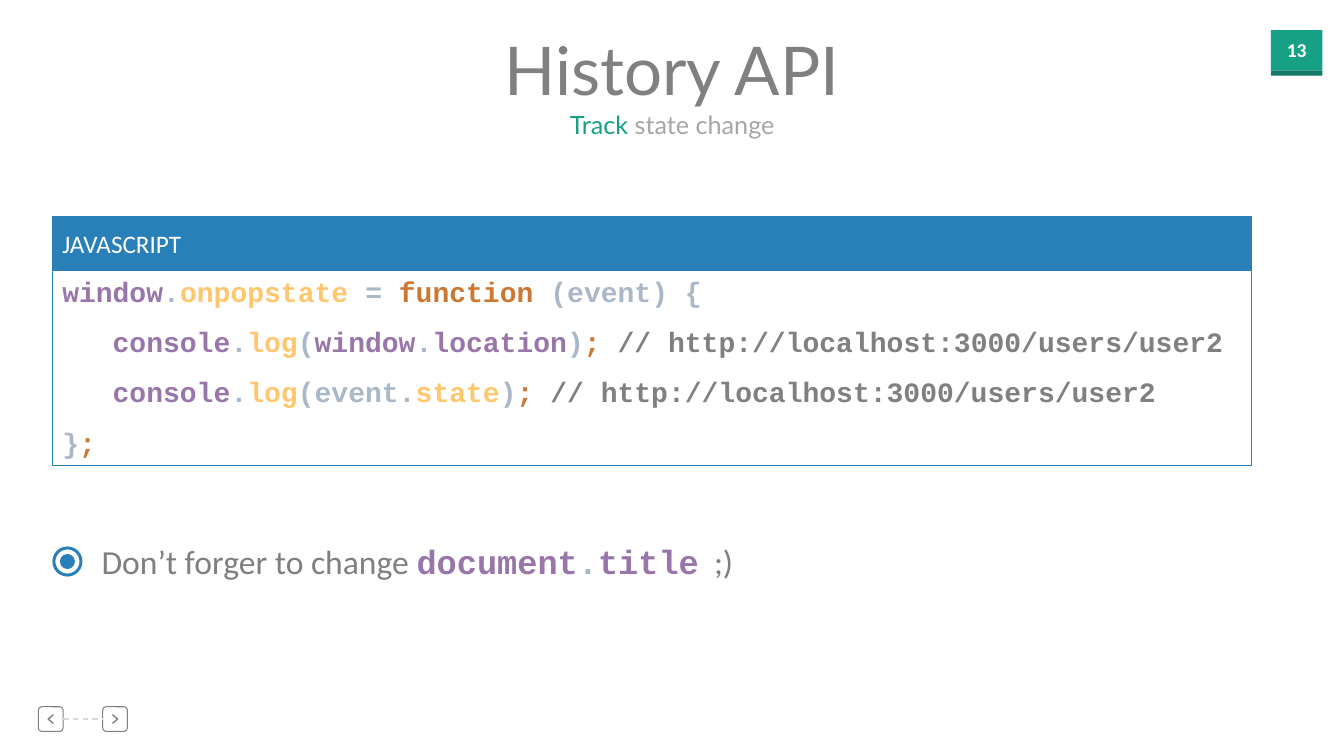
from lxml import etree
from pptx import Presentation
from pptx.dml.color import RGBColor
from pptx.enum.dml import MSO_LINE
from pptx.enum.shapes import MSO_CONNECTOR, MSO_SHAPE
from pptx.enum.text import MSO_ANCHOR, PP_ALIGN
from pptx.oxml.ns import qn
from pptx.util import Cm, Pt

RECT, ROUND = MSO_SHAPE.RECTANGLE, MSO_SHAPE.ROUNDED_RECTANGLE
OVAL, DONUT = MSO_SHAPE.OVAL, MSO_SHAPE.DONUT
LEFT, CENTER = PP_ALIGN.LEFT, PP_ALIGN.CENTER
TOP, MIDDLE = MSO_ANCHOR.TOP, MSO_ANCHOR.MIDDLE

COLORS = {
    "green": "16A085", "dark_green": "107864", "blue": "2980B9",
    "white": "FFFFFF", "gray": "808080", "silver": "A6A6A6",
    "dash": "D9D9D9", "body": "7F7F7F", "object": "9876AA",
    "plain": "A9B7C6", "member": "FFC66D", "keyword": "CC7832",
}

TITLE = [[("History API", "gray")]]
SUBTITLE = [[("Track ", "green"), ("state change", "silver")]]
NUMBER = [[("13", "white")]]
LANGUAGE = [[("JAVASCRIPT", "white")]]
URL_COMMENT = ("// http://localhost:3000/users/user2", "gray")
LOG = [("console", "object"), (".", "plain"), ("log", "member")]
END = [(")", "plain"), ("; ", "keyword"), URL_COMMENT]
CODE = [
    [("window", "object"), (".", "plain"), ("onpopstate ", "member"),
     ("= ", "plain"), ("function ", "keyword"), ("(event) {", "plain")],
    LOG + [("(", "plain"), ("window", "object"), (".", "plain"),
           ("location", "object")] + END,
    LOG + [("(event.", "plain"), ("state", "member")] + END,
    [("}", "plain"), (";", "keyword")],
]
CODE_LEVELS = [0, 1, 1, 0]
MONO = {"name": "Courier New", "bold": True}
NOTE = [[("Don’t forger to change ", "body"), ("document", "object", MONO),
         (".", "plain", MONO), ("title", "object", MONO), ("  ;)", "body")]]

MARGIN, PANEL_W = 1.32, 30.23
BADGE_X, BADGE_W = 32.03, 1.3
NAV_Y, NAV_SIZE = 17.81, 0.62
NAV = [(0.97, -1), (2.59, 1)]
CHEVRON_W, CHEVRON_H = 0.13, 0.22


def rgb(name):
    return RGBColor.from_string(COLORS[name])


def write(sp, paragraphs, font, align=LEFT, anchor=TOP, wrap=False,
          levels=None, para=None):
    tf = sp.text_frame
    tf.word_wrap, tf.vertical_anchor = wrap, anchor
    for i, runs in enumerate(paragraphs):
        p = tf.paragraphs[0] if i == 0 else tf.add_paragraph()
        p.alignment = align
        p.level = levels[i] if levels else 0
        for key, value in (para or {}).items():
            setattr(p, key, value)
        for text, color, *extra in runs:
            r = p.add_run()
            r.text = text
            for key, value in {**font, **(extra[0] if extra else {})}.items():
                setattr(r.font, key, value)
            r.font.color.rgb = rgb(color)


def paint(sp, fill=None, line=None, width=0.75):
    sp.shadow.inherit = False
    if fill:
        sp.fill.solid()
        sp.fill.fore_color.rgb = rgb(fill)
    else:
        sp.fill.background()
    if line:
        sp.line.color.rgb = rgb(line)
        sp.line.width = Pt(width)
    else:
        sp.line.fill.background()
    return sp


def add_shape(kind, box, fill=None, line=None):
    return paint(shapes.add_shape(kind, *map(Cm, box)), fill, line)


def add_text(box, *args, **kwargs):
    write(shapes.add_textbox(*map(Cm, box)), *args, **kwargs)


prs = Presentation()
prs.slide_width, prs.slide_height = Cm(33.87), Cm(19.05)
s = prs.slides.add_slide(prs.slide_layouts[5])
shapes = s.shapes

title = shapes.title
title.left, title.top, title.width, title.height = map(Cm, (12.45, 0.58, 8.97, 2.31))
write(title, TITLE, {"name": "Lato", "size": Pt(48)}, CENTER)
add_text((13.97, 2.62, 5.94, 1.02), SUBTITLE, {"name": "Lato", "size": Pt(18)}, CENTER)

add_shape(RECT, (BADGE_X, 0.76, BADGE_W, 1.02), "green")
add_shape(RECT, (BADGE_X, 1.78, BADGE_W, 0.13), "dark_green")
add_text((BADGE_X, 0.84, BADGE_W, 0.86), NUMBER,
         {"name": "Calibri", "size": Pt(14), "bold": True}, CENTER)

nav_mid = NAV_Y + NAV_SIZE / 2
for x, direction in NAV:
    add_shape(ROUND, (x, NAV_Y, NAV_SIZE, NAV_SIZE), line="gray").adjustments[0] = 0.14
    mid = x + NAV_SIZE / 2
    back, tip = (mid + k * direction * CHEVRON_W / 2 for k in (-1, 1))
    fb = shapes.build_freeform(Cm(back), Cm(nav_mid - CHEVRON_H / 2))
    fb.add_line_segments([(Cm(tip), Cm(nav_mid)),
                          (Cm(back), Cm(nav_mid + CHEVRON_H / 2))], close=False)
    paint(fb.convert_to_shape(), line="gray", width=1)

link = shapes.add_connector(MSO_CONNECTOR.STRAIGHT, Cm(NAV[0][0] + NAV_SIZE),
                            Cm(nav_mid), Cm(NAV[1][0]), Cm(nav_mid))
link.line.color.rgb = rgb("dash")
link.line.width, link.line.dash_style = Pt(1), MSO_LINE.DASH
etree.SubElement(link._element.spPr, qn("a:effectLst"))

code = add_shape(RECT, (MARGIN, 6.78, PANEL_W, 4.95), "white", "blue")
alpha = etree.SubElement(code._element.spPr.find(qn("a:solidFill"))[0], qn("a:alpha"))
alpha.set("val", "90000")
write(code, CODE, {**MONO, "size": Pt(20)}, wrap=True, levels=CODE_LEVELS,
      para={"space_before": Pt(6), "space_after": Pt(6)})
header = add_shape(RECT, (MARGIN, 5.46, PANEL_W, 1.37), "blue", "blue")
write(header, LANGUAGE, {"name": "Calibri", "size": Pt(18)}, anchor=MIDDLE, wrap=True)

add_shape(DONUT, (MARGIN, 13.77, 0.76, 0.76), "blue").adjustments[0] = 0.1
add_shape(OVAL, (MARGIN + 0.19, 13.96, 0.38, 0.38), "blue")
add_text((2.31, 13.51, 16.56, 1.27), NOTE, {"name": "Calibri", "size": Pt(24)})

prs.save("out.pptx")
